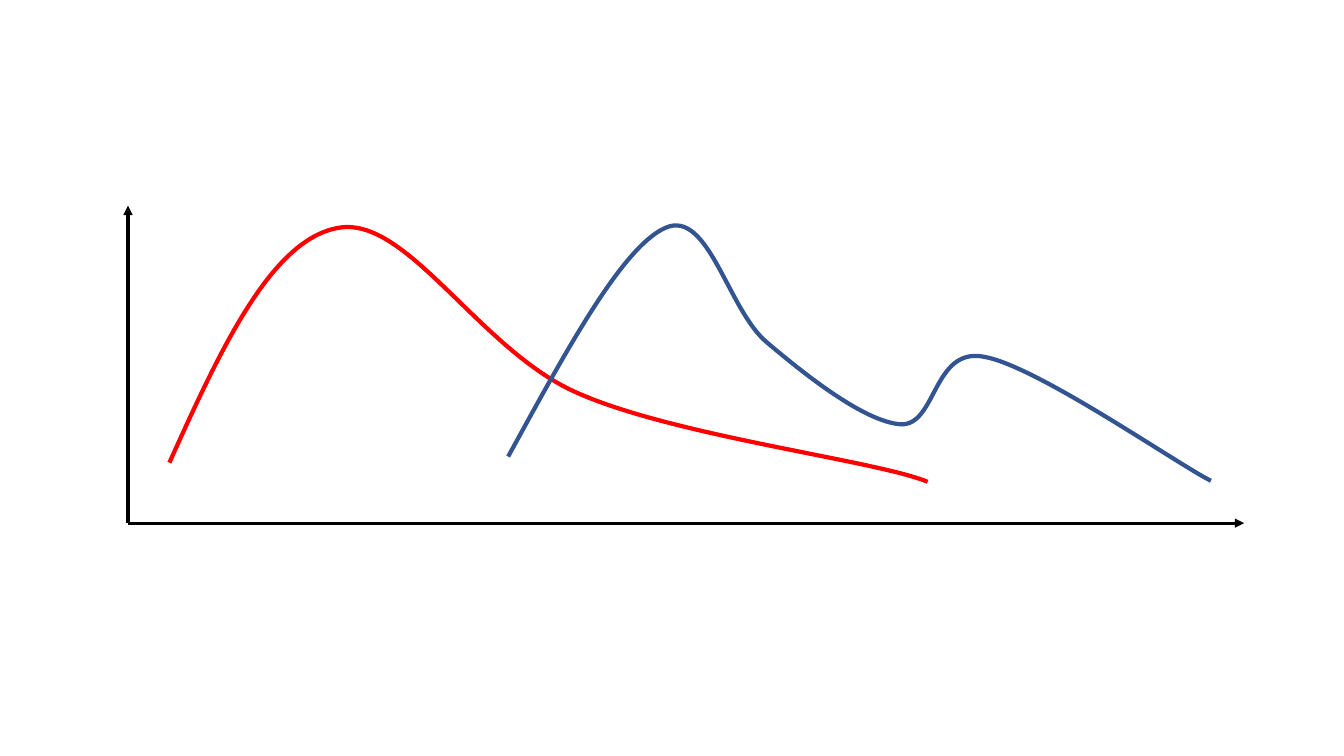
from dataclasses import dataclass

from lxml.etree import SubElement
from pptx import Presentation
from pptx.dml.color import RGBColor
from pptx.enum.shapes import MSO_CONNECTOR
from pptx.oxml.ns import qn
from pptx.util import Inches, Pt


@dataclass(frozen=True)
class Theme:
    axis: RGBColor = RGBColor(0x00, 0x00, 0x00)
    first_wave: RGBColor = RGBColor(0xFF, 0x00, 0x00)
    second_wave: RGBColor = RGBColor(0x32, 0x54, 0x91)
    axis_width: float = 2.25
    wave_width: float = 3


THEME = Theme()
BLANK_LAYOUT = 6
ORIGIN = (1.27, 5.19)
AXIS_TOP = (1.27, 2.04)
AXIS_RIGHT = (12.34, 5.19)

# Each segment holds two control points and the point it ends at.
FIRST_WAVE_START = (1.68, 4.59)
FIRST_WAVE = [
    [(2.18, 3.48), (2.69, 2.37), (3.36, 2.26)],
    [(4.04, 2.14), (4.76, 3.48), (5.73, 3.9)],
    [(6.7, 4.33), (8.7, 4.57), (9.2, 4.78)],
]
SECOND_WAVE_START = (5.04, 4.53)
SECOND_WAVE = [
    [(5.61, 3.49), (6.17, 2.45), (6.6, 2.26)],
    [(7.03, 2.07), (7.22, 3.08), (7.61, 3.4)],
    [(8, 3.73), (8.57, 4.18), (8.93, 4.21)],
    [(9.29, 4.23), (9.25, 3.44), (9.76, 3.54)],
    [(10.28, 3.63), (11.67, 4.6), (12.01, 4.77)],
]


def to_lengths(point):
    return tuple(Inches(value) for value in point)


def format_line(shape, color, width):
    shape.line.color.rgb = color
    shape.line.width = Pt(width)


def add_axis(shapes, start, end):
    axis = shapes.add_connector(
        MSO_CONNECTOR.STRAIGHT, *to_lengths(start), *to_lengths(end)
    )
    format_line(axis, THEME.axis, THEME.axis_width)
    properties = axis.element.spPr
    SubElement(properties.find(qn("a:ln")), qn("a:tailEnd"), type="triangle")
    SubElement(properties, qn("a:effectLst"))


def add_curve(shapes, start, segments, color):
    """Draw an open outline through the end points, then bend each segment."""
    builder = shapes.build_freeform(*to_lengths(start))
    builder.add_line_segments(
        [to_lengths(segment[-1]) for segment in segments], close=False
    )
    curve = builder.convert_to_shape()
    curve.shadow.inherit = False
    curve.fill.background()
    format_line(curve, color, THEME.wave_width)

    outline = curve.element.spPr.find(".//" + qn("a:path"))
    for straight, segment in zip(outline.findall(qn("a:lnTo")), segments):
        outline.remove(straight)
        bend = SubElement(outline, qn("a:cubicBezTo"))
        for x, y in map(to_lengths, segment):
            SubElement(
                bend, qn("a:pt"), x=str(x - curve.left), y=str(y - curve.top)
            )


def main():
    deck = Presentation()
    deck.slide_width, deck.slide_height = Inches(13.33), Inches(7.5)
    page = deck.slides.add_slide(deck.slide_layouts[BLANK_LAYOUT])

    axes = page.shapes.add_group_shape()
    for end in (AXIS_TOP, AXIS_RIGHT):
        add_axis(axes.shapes, ORIGIN, end)

    add_curve(page.shapes, FIRST_WAVE_START, FIRST_WAVE, THEME.first_wave)
    add_curve(page.shapes, SECOND_WAVE_START, SECOND_WAVE, THEME.second_wave)
    deck.save("out.pptx")


if __name__ == "__main__":
    main()
